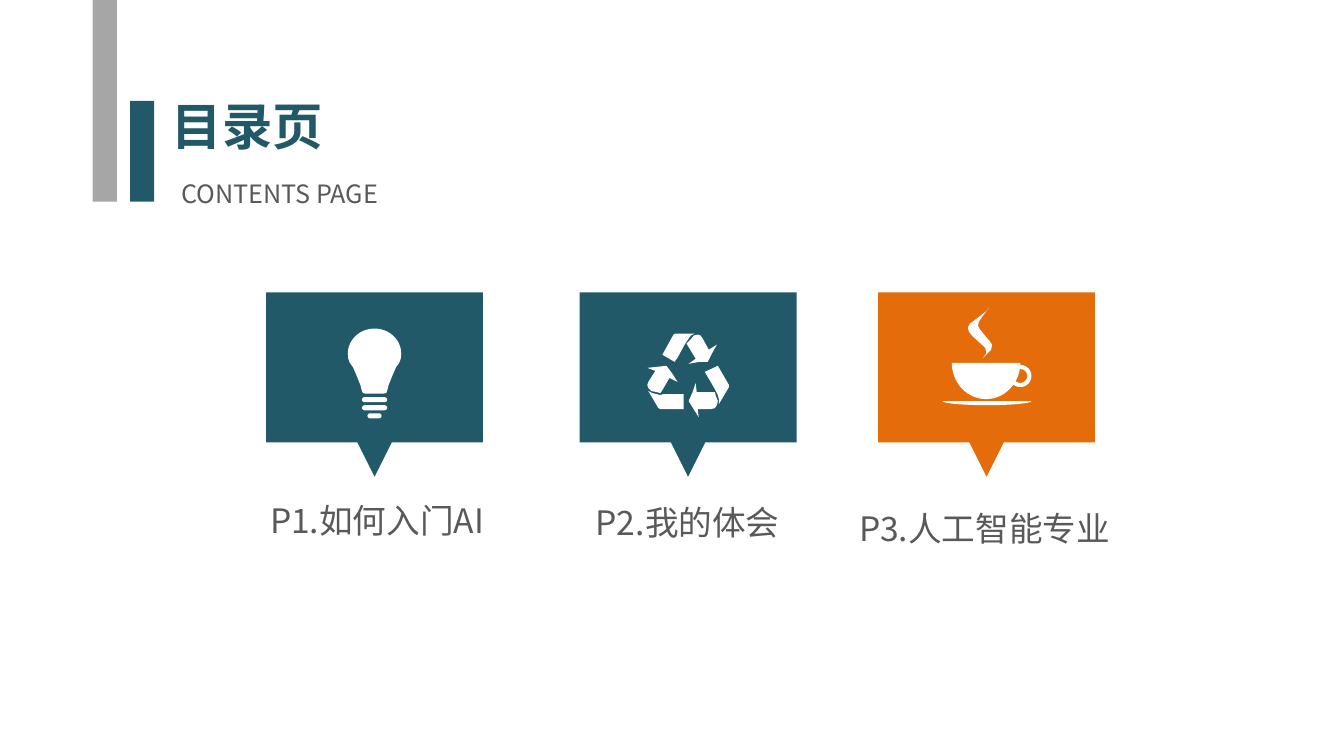
import math
from dataclasses import dataclass
from lxml import etree
from pptx import Presentation
from pptx import util as u
from pptx.dml.color import RGBColor
from pptx.enum import shapes, text
from pptx.oxml import ns


@dataclass(frozen=True)
class Theme:
    teal: str = "215968"
    orange: str = "E46C0A"
    gray: str = "A6A6A6"
    ink: str = "595959"
    white: str = "FFFFFF"
    font: str = "Noto Sans CJK SC"
    title: int = 36
    label: int = 24
    sub: int = 18


THEME = Theme()
KIND = shapes.MSO_SHAPE

STEAM = [
    (9.75, 3.55), (9.83, 3.47), (9.84, 3.42), (9.82, 3.39), (9.77, 3.33),
    (9.72, 3.27), (9.7, 3.23), (9.71, 3.19), (9.73, 3.16), (9.81, 3.05),
    (9.78, 3.09), (9.74, 3.12), (9.65, 3.19), (9.62, 3.21), (9.6, 3.25),
    (9.61, 3.29), (9.64, 3.33), (9.75, 3.43), (9.77, 3.45), (9.78, 3.48),
    (9.78, 3.51),
]

ARROWS = [
    [(7.06, 3.51), (7.02, 3.59), (6.94, 3.59), (6.83, 3.61), (6.9, 3.56),
     (6.81, 3.41), (6.84, 3.38), (6.88, 3.33), (6.92, 3.32), (6.95, 3.33),
     (6.97, 3.36), (7.03, 3.47), (7.11, 3.42)],
    [(6.83, 3.36), (6.85, 3.33), (6.89, 3.31), (6.7, 3.31), (6.68, 3.32),
     (6.57, 3.52), (6.69, 3.59), (6.72, 3.55), (6.79, 3.42), (6.81, 3.39)],
    [(6.93, 4.14), (6.92, 4.06), (7.05, 4.06), (7.09, 4.05), (7.11, 4.02),
     (7.12, 3.98), (7.1, 3.93), (7.09, 3.89), (6.91, 3.89), (6.9, 3.8),
     (6.87, 3.89), (6.83, 3.98), (6.88, 4.06)],
    [(7.12, 3.92), (7.13, 3.96), (7.13, 4.01), (7.23, 3.84), (7.23, 3.82),
     (7.12, 3.63), (6.99, 3.69), (7.02, 3.74), (7.09, 3.86)],
    [(6.42, 3.65), (6.5, 3.68), (6.43, 3.79), (6.42, 3.82), (6.43, 3.85),
     (6.46, 3.88), (6.51, 3.89), (6.55, 3.9), (6.57, 3.87), (6.64, 3.75),
     (6.72, 3.79), (6.67, 3.71), (6.61, 3.63)],
    [(6.51, 3.91), (6.47, 3.9), (6.43, 3.88), (6.53, 4.05), (6.55, 4.06),
     (6.78, 4.06), (6.78, 3.91), (6.58, 3.91), (6.55, 3.92)],
]


def paint(shape, color):
    shape.shadow.inherit = False
    shape.fill.solid()
    shape.fill.fore_color.rgb = RGBColor.from_string(color)
    shape.line.fill.background()
    return shape


def block(slide, kind, box, color):
    shape = slide.shapes.add_shape(kind, *map(u.Inches, box))
    return paint(shape, color)


def free(slide, rings, color):
    rings = [[(u.Inches(x), u.Inches(y)) for x, y in ring] for ring in rings]
    pen = slide.shapes.build_freeform(*rings[0][0], scale=1.0)
    pen.add_line_segments(rings[0][1:])
    for ring in rings[1:]:
        pen.move_to(*ring[0])
        pen.add_line_segments(ring[1:])
    return paint(pen.convert_to_shape(), color)


def label(slide, box, words, size, color, bold=False, space=None):
    frame = slide.shapes.add_textbox(*map(u.Inches, box)).text_frame
    frame.word_wrap = True
    frame.auto_size = text.MSO_AUTO_SIZE.SHAPE_TO_FIT_TEXT
    para = frame.paragraphs[0]
    para.alignment = text.PP_ALIGN.CENTER
    if space:
        para.line_spacing = space
    run = para.add_run()
    run.text = words
    font = run.font
    font.size = u.Pt(size)
    font.color.rgb = RGBColor.from_string(color)
    font.name = THEME.font
    if bold:
        font.bold = True
    east = etree.SubElement(run._r.get_or_add_rPr(), ns.qn("a:ea"))
    east.set("typeface", THEME.font)


def arc(x, y, wide, high, start, end):
    turns = [math.radians(start + (end - start) * i / 32) for i in range(33)]
    return [(x + wide * math.cos(t), y + high * math.sin(t)) for t in turns]


def bubble(slide, left, color):
    top, low = 2.9, 4.39
    mid, right = left + 1.075, left + 2.15
    free(slide, [[
        (left, top), (right, top), (right, low), (mid + 0.17, low),
        (mid, 4.73), (mid - 0.17, low), (left, low),
    ]], color)


def bulb(slide):
    mid = 3.715
    side = [(0.26, 3.56), (0.245, 3.6), (0.215, 3.64), (0.18, 3.72),
            (0.14, 3.82), (0.125, 3.88), (0.115, 3.9), (0.09, 3.905)]
    left = [(mid - x, y) for x, y in side]
    right = [(mid + x, y) for x, y in reversed(side)]
    head = arc(mid, 3.51, 0.265, 0.25, 0, -180)
    free(slide, [head + left + right], THEME.white)
    for wide, top in ((0.25, 3.94), (0.25, 4.02), (0.14, 4.1)):
        box = (mid - wide / 2, top, wide, 0.05)
        bar = block(slide, KIND.ROUNDED_RECTANGLE, box, THEME.white)
        bar.adjustments[0] = 0.5


def cup(slide):
    free(slide, [arc(9.78, 3.6, 0.34, 0.36, 0, 180)], THEME.white)
    free(slide, [arc(9.79, 3.98, 0.44, 0.04, 0, 180)], THEME.white)
    ring = block(slide, KIND.DONUT, (10.01, 3.62, 0.22, 0.22), THEME.white)
    ring.adjustments[0] = 0.18
    free(slide, [STEAM], THEME.white)


def main():
    deck = Presentation()
    deck.slide_width, deck.slide_height = u.Inches(13.33), u.Inches(7.5)
    slide = deck.slides.add_slide(deck.slide_layouts[6])

    block(slide, KIND.RECTANGLE, (0.92, 0, 0.24, 2), THEME.gray)
    block(slide, KIND.RECTANGLE, (1.29, 1, 0.24, 1), THEME.teal)
    label(slide, (1.56, 0.89, 1.79, 0.71), "目录页",
          THEME.title, THEME.teal, bold=True)
    label(slide, (1.64, 1.72, 2.27, 0.4), "CONTENTS PAGE",
          THEME.sub, THEME.ink)

    parts = [
        (2.64, THEME.teal, bulb, "P1.如何入门AI", (2.41, 4.91, 2.66, 0.5), None),
        (5.75, THEME.teal, lambda s: free(s, ARROWS, THEME.white),
         "P2.我的体会", (5.49, 4.93, 2.66, 0.5), None),
        (8.71, THEME.orange, cup, "P3.人工智能专业", (8.36, 4.91, 2.81, 0.54), 1.2),
    ]
    for left, color, icon, words, box, space in parts:
        bubble(slide, left, color)
        icon(slide)
        label(slide, box, words, THEME.label, THEME.ink, space=space)

    deck.save("out.pptx")


if __name__ == "__main__":
    main()
